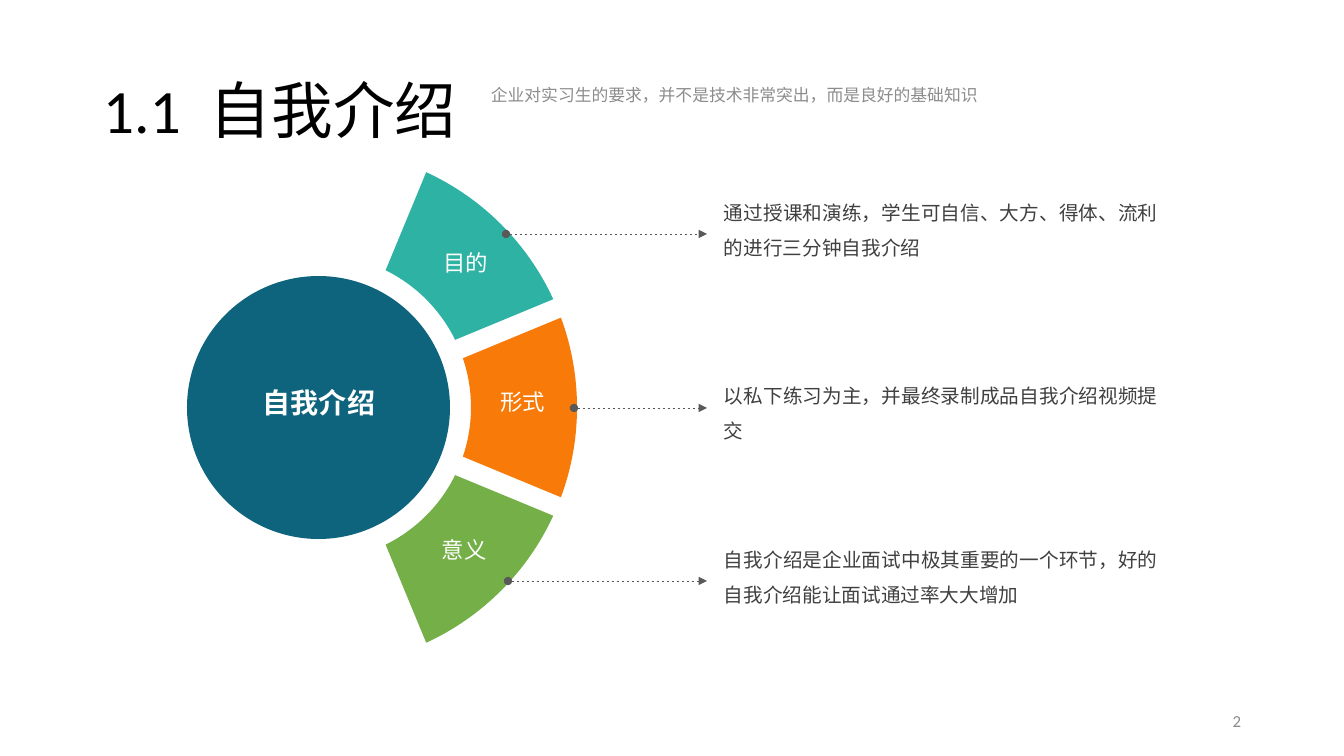
from dataclasses import dataclass
from math import asin, cos, radians, sin, tan

from lxml.etree import SubElement
from pptx import Presentation
from pptx.dml.color import RGBColor
from pptx.enum.dml import MSO_LINE
from pptx.enum.shapes import MSO_CONNECTOR as Link, MSO_SHAPE as Preset
from pptx.enum.text import MSO_ANCHOR as Anchor, PP_ALIGN as Align
from pptx.oxml.ns import qn
from pptx.util import Emu, Pt

PX = 914400 / 100.8


def px(length: float) -> Emu:
    return Emu(round(length * PX))


@dataclass(frozen=True)
class Theme:
    latin: str = "Calibri"
    cjk: str = "Noto Sans CJK SC"
    black: str = "000000"
    grey: str = "8C8C8C"
    body: str = "404040"
    arrow: str = "595959"
    white: str = "FFFFFF"
    hub: str = "0E647C"
    teal: str = "2DB2A4"
    orange: str = "F87A08"
    green: str = "74AF47"
    title_size: int = 44
    hub_size: int = 20
    label_size: int = 16
    body_size: int = 14
    small_size: int = 12


THEME = Theme()


@dataclass(frozen=True)
class Box:
    left: int
    top: int
    width: int
    height: int


@dataclass(frozen=True)
class Style:
    size: int
    color: str
    font: str = THEME.cjk
    bold: bool = False
    align: Align = Align.LEFT
    anchor: Anchor = Anchor.TOP
    spacing: float = 1.0
    inset: bool = False


@dataclass(frozen=True)
class Topic:
    label: str
    label_left: int
    label_top: int
    angle: int
    color: str
    arrow_left: int
    arrow_y: int
    detail: str
    detail_top: int


TITLE = Style(THEME.title_size, THEME.black, THEME.latin, anchor=Anchor.MIDDLE,
              spacing=0.9, inset=True)
SUBTITLE = Style(THEME.small_size, THEME.grey, THEME.latin,
                 anchor=Anchor.MIDDLE, inset=True)
PAGE_NUMBER = Style(THEME.small_size, THEME.grey, THEME.latin,
                    align=Align.RIGHT, anchor=Anchor.MIDDLE, inset=True)
HUB = Style(THEME.hub_size, THEME.white, bold=True, align=Align.CENTER, inset=True)
LABEL = Style(THEME.label_size, THEME.white, align=Align.CENTER)
DETAIL = Style(THEME.body_size, THEME.body, align=Align.JUSTIFY, spacing=1.5)

TOPICS = [
    Topic("目的", 424, 249, -45, THEME.teal, 506, 234,
          "通过授课和演练，学生可自信、大方、得体、流利的进行三分钟自我介绍", 189),
    Topic("形式", 481, 388, 0, THEME.orange, 574, 408,
          "以私下练习为主，并最终录制成品自我介绍视频提交", 372),
    Topic("意义", 422, 536, 45, THEME.green, 508, 581,
          "自我介绍是企业面试中极其重要的一个环节，好的自我介绍能让面试通过率大大增加", 536),
]

CENTER_X, CENTER_Y = 318, 407.5
INNER, OUTER = 153, 259
HALF_ANGLE, HALF_GAP = 22.5, 10
ARROW_END = 707
TITLE_TAB = 107

deck = Presentation()
deck.slide_width, deck.slide_height = px(1344), px(756)
slide = deck.slides.add_slide(deck.slide_layouts[6])
shapes = slide.shapes


def add_text(text: str, box: Box, style: Style):
    frame = shapes.add_textbox(px(box.left), px(box.top),
                               px(box.width), px(box.height)).text_frame
    frame.word_wrap = True
    frame.vertical_anchor = style.anchor
    if not style.inset:
        frame.margin_left = frame.margin_right = 0
        frame.margin_top = frame.margin_bottom = 0
    line = frame.paragraphs[0]
    line.text = text
    line.alignment = style.align
    line.line_spacing = style.spacing
    line.font.size = Pt(style.size)
    line.font.bold = style.bold
    line.font.name = style.font
    line.font.color.rgb = RGBColor.from_string(style.color)
    # East Asian glyphs need their own typeface entry
    defaults = line._p.pPr.find(qn("a:defRPr"))
    SubElement(defaults, qn("a:ea"), typeface=THEME.cjk)
    return line


def paint(shape, color: str) -> None:
    shape.shadow.inherit = False
    shape.fill.solid()
    shape.fill.fore_color.rgb = RGBColor.from_string(color)
    shape.line.fill.background()


def arc(radius: int, middle: float) -> list[tuple[Emu, Emu]]:
    """Bezier points of an arc, its ends inset so that gaps have parallel sides."""
    half = radians(HALF_ANGLE) - asin(HALF_GAP / radius)
    start, end = radians(middle) - half, radians(middle) + half
    pull = 4 / 3 * tan(half / 2)
    return [(px(CENTER_X + radius * (cos(turn) - reach * sin(turn))),
             px(CENTER_Y + radius * (sin(turn) + reach * cos(turn))))
            for turn, reach in ((start, 0), (start, pull), (end, -pull), (end, 0))]


def add_sector(topic: Topic) -> None:
    points = arc(OUTER, topic.angle) + arc(INNER, topic.angle)[::-1]
    builder = shapes.build_freeform(*points[0])
    builder.add_line_segments(points[1:], close=True)
    sector = builder.convert_to_shape()
    # Each arc's three segments become one curve
    segments = list(sector._element.iter(qn("a:lnTo")))
    for triple in (segments[:3], segments[4:]):
        curve = triple[0].makeelement(qn("a:cubicBezTo"), {})
        triple[0].addprevious(curve)
        for segment in triple:
            curve.append(segment[0])
            segment.getparent().remove(segment)
    paint(sector, topic.color)


def add_arrow(topic: Topic) -> None:
    arrow = shapes.add_connector(Link.STRAIGHT, px(topic.arrow_left), px(topic.arrow_y),
                                 px(ARROW_END), px(topic.arrow_y))
    arrow.line.color.rgb = RGBColor.from_string(THEME.arrow)
    arrow.line.width = Pt(0.5)
    arrow.line.dash_style = MSO_LINE.DASH
    properties = arrow._element.spPr
    outline = properties.find(qn("a:ln"))
    SubElement(outline, qn("a:headEnd"), type="oval")
    SubElement(outline, qn("a:tailEnd"), type="triangle")
    SubElement(properties, qn("a:effectLst"))


# Heading and page number
heading = add_text("1.1\t自我介绍", Box(93, 41, 1159, 146), TITLE)
tabs = heading._p.pPr.makeelement(qn("a:tabLst"), {})
SubElement(tabs, qn("a:tab"), pos=str(px(TITLE_TAB)), algn="l")
heading._p.pPr.find(qn("a:defRPr")).addprevious(tabs)
add_text("企业对实习生的要求，并不是技术非常突出，而是良好的基础知识",
         Box(481, 75, 635, 40), SUBTITLE)
add_text("2", Box(949, 701, 302, 40), PAGE_NUMBER)

# Ring of topics with their details
for topic in TOPICS:
    add_sector(topic)
    add_arrow(topic)
    add_text(topic.label, Box(topic.label_left, topic.label_top, 84, 27), LABEL)
    add_text(topic.detail, Box(724, topic.detail_top, 434, 72), DETAIL)

# Hub
paint(shapes.add_shape(Preset.OVAL, px(187), px(276), px(263), px(263)), THEME.hub)
add_text("自我介绍", Box(232, 381, 174, 44), HUB)

deck.save("out.pptx")
